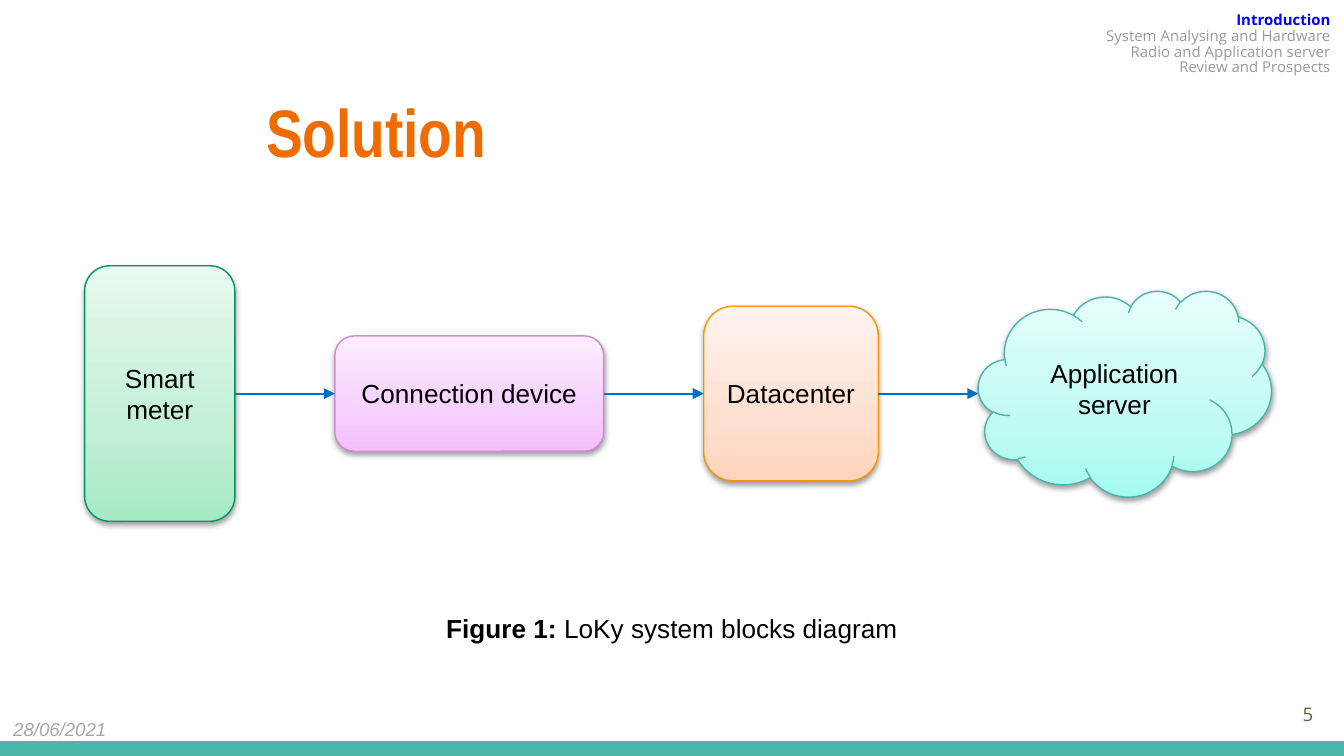
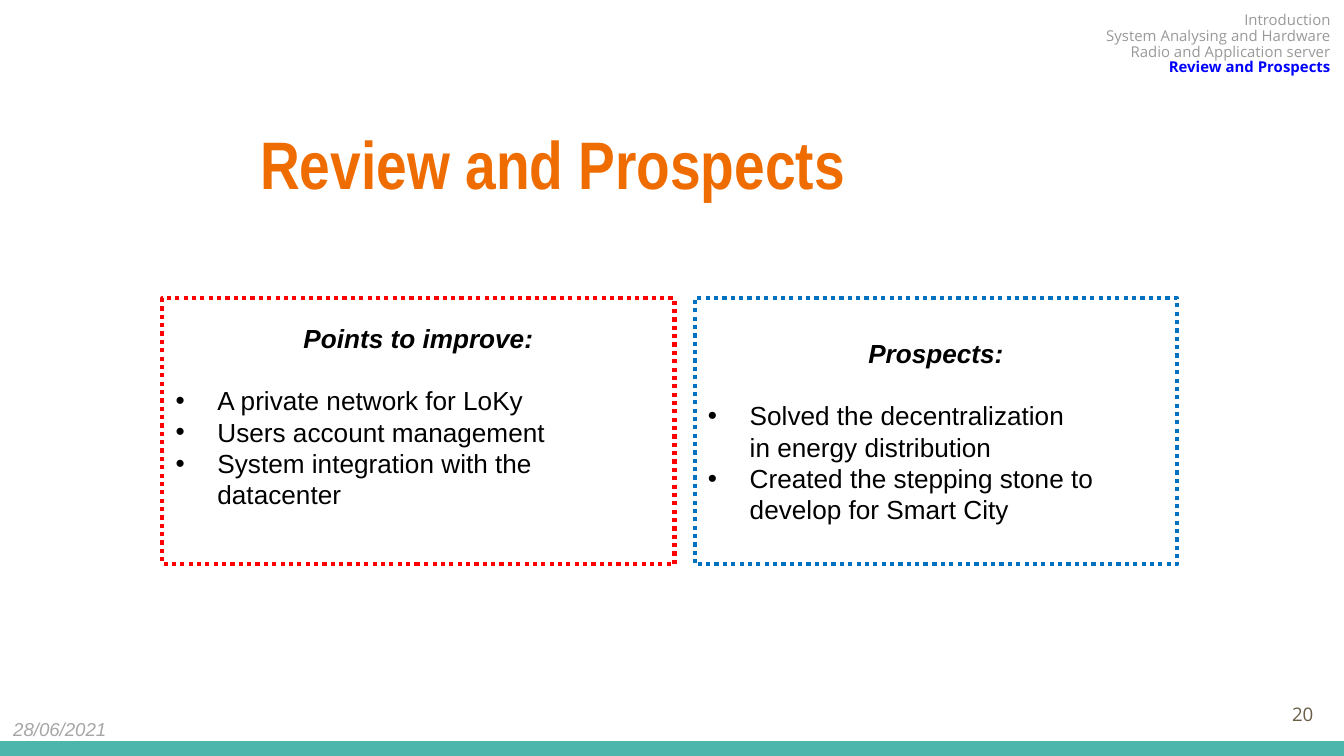
from copy import deepcopy

from pptx import Presentation
from pptx.dml.color import RGBColor
from pptx.enum.dml import MSO_LINE
from pptx.enum.shapes import MSO_CONNECTOR, MSO_SHAPE
from pptx.enum.text import MSO_ANCHOR, PP_ALIGN
from pptx.oxml import parse_xml
from pptx.oxml.ns import nsdecls, qn
from pptx.util import Cm, Pt

LEFT, CENTER, RIGHT = PP_ALIGN.LEFT, PP_ALIGN.CENTER, PP_ALIGN.RIGHT
TOP, MIDDLE = MSO_ANCHOR.TOP, MSO_ANCHOR.MIDDLE
RECT, ROUNDED, CLOUD = MSO_SHAPE.RECTANGLE, MSO_SHAPE.ROUNDED_RECTANGLE, MSO_SHAPE.CLOUD
STRAIGHT = MSO_CONNECTOR.STRAIGHT
DOTTED = MSO_LINE.ROUND_DOT

BLACK = RGBColor(0x00, 0x00, 0x00)
TEAL = RGBColor(0x4D, 0xB6, 0xAC)
ORANGE = RGBColor(0xEF, 0x6C, 0x00)
BROWN = RGBColor(0x69, 0x5D, 0x46)
DATE_GREY = RGBColor(0xA6, 0xA6, 0xA6)
AGENDA_GREY = RGBColor(0x99, 0x99, 0x99)
AGENDA_BLUE = RGBColor(0x00, 0x00, 0xFF)
RED = RGBColor(0xFF, 0x00, 0x00)
BLUE = RGBColor(0x00, 0x70, 0xC0)
GREEN_LINE = RGBColor(0x00, 0x93, 0x66)
GREENS = (RGBColor(0xA6, 0xEA, 0xC4), RGBColor(0xC2, 0xEF, 0xD5), RGBColor(0xE7, 0xFA, 0xEF))
PURPLE_LINE = RGBColor(0xCB, 0x8E, 0xD5)
PURPLES = (RGBColor(0xF5, 0xC0, 0xFF), RGBColor(0xF7, 0xD1, 0xFF), RGBColor(0xFC, 0xED, 0xFF))
AMBER_LINE = RGBColor(0xF9, 0x95, 0x00)
PEACHES = (RGBColor(0xFF, 0xD4, 0xBD), RGBColor(0xFF, 0xE0, 0xD1), RGBColor(0xFF, 0xF3, 0xEE))
AQUA_LINE = RGBColor(0x49, 0xB5, 0xAA)
AQUAS = (RGBColor(0xA5, 0xFB, 0xF0), RGBColor(0xC0, 0xFB, 0xF3), RGBColor(0xE6, 0xFF, 0xFB))
GRADIENT_POSITIONS = (0, 0.35, 1)

BODY_FONT, TITLE_FONT, AGENDA_FONT = "Arial", "Arial Narrow", "Open Sans"

SLIDE_WIDTH, SLIDE_HEIGHT = 25.4, 14.29
BAND_HEIGHT = 0.28
WIDE_INSET = 0.25

DATE = "28/06/2021"
AGENDA = [
    "Introduction",
    "System Analysing and Hardware",
    "Radio and Application server",
    "Review and Prospects",
]

SOLUTION = {"title": "Solution", "title_at": (4.78, 1.45, 12.8, 1.96),
            "section": "Introduction", "number": "5"}
BLOCKS = [
    ("Smart meter", ROUNDED, 2.84, 4.83, GREENS, GREEN_LINE),
    ("Connection device", ROUNDED, 5.08, 2.18, PURPLES, PURPLE_LINE),
    ("Datacenter", ROUNDED, 3.3, 3.3, PEACHES, AMBER_LINE),
    ("Application server", CLOUD, 5.54, 3.89, AQUAS, AQUA_LINE),
]
BLOCKS_LEFT, BLOCKS_MIDDLE, BLOCK_GAP = 1.6, 7.44, 1.89
CAPTION = ("Figure 1: ", "LoKy system blocks diagram")

REVIEW = {"title": "Review and Prospects", "title_at": (4.67, 2.06, 18.9, 1.96),
          "section": "Review and Prospects", "number": "20"}
PANELS = [
    ("Points to improve:", RED, 9.68, 0.7, [
        "A private network for LoKy",
        "Users account management",
        "System integration with the datacenter",
    ]),
    ("Prospects:", BLUE, 9.12, 0.13, [
        "Solved the decentralization\nin energy distribution",
        "Created the stepping stone to develop for Smart City",
    ]),
]
PANELS_LEFT, PANELS_TOP, PANEL_HEIGHT, PANEL_GAP = 3.07, 5.64, 5.03, 0.38
BULLET_INDENT = 0.79


def add_run(paragraph, text, size, color=BLACK, font=BODY_FONT, bold=False, italic=False):
    run = paragraph.add_run()
    run.text = text
    run.font.name = font
    run.font.size = Pt(size)
    run.font.color.rgb = color
    run.font.bold = bold
    run.font.italic = italic


def add_text(slide, at, anchor=TOP, align=LEFT, inset=None):
    frame = slide.shapes.add_textbox(*map(Cm, at)).text_frame
    frame.word_wrap = True
    frame.vertical_anchor = anchor
    if inset:
        frame.margin_left = frame.margin_right = Cm(inset)
        frame.margin_top = frame.margin_bottom = Cm(inset)
    frame.paragraphs[0].alignment = align
    return frame


def add_outlined(slide, kind, at, line_color, line_width):
    shape = slide.shapes.add_shape(kind, *map(Cm, at))
    shape.shadow.inherit = False
    shape.line.color.rgb = line_color
    shape.line.width = Pt(line_width)
    shape.text_frame.word_wrap = True
    shape.text_frame.vertical_anchor = MIDDLE
    shape.text_frame.paragraphs[0].alignment = CENTER
    return shape


def add_slide(deck, content):
    slide = deck.slides.add_slide(deck.slide_layouts[6])
    band = slide.shapes.add_shape(RECT, 0, Cm(SLIDE_HEIGHT - BAND_HEIGHT),
                                  Cm(SLIDE_WIDTH), Cm(BAND_HEIGHT))
    band.shadow.inherit = False
    band.fill.solid()
    band.fill.fore_color.rgb = TEAL
    band.line.fill.background()

    number = add_text(slide, (23.55, 12.95, 1.52, 1.09), MIDDLE, RIGHT, WIDE_INSET)
    add_run(number.paragraphs[0], content["number"], 10, BROWN, AGENDA_FONT)
    date = add_text(slide, (0, 13.44, 2.6, 0.68))
    add_run(date.paragraphs[0], DATE, 10, DATE_GREY, italic=True)
    title = add_text(slide, content["title_at"], inset=WIDE_INSET)
    add_run(title.paragraphs[0], content["title"], 36, ORANGE, TITLE_FONT, bold=True)

    agenda = add_text(slide, (18.03, 0, 7.37, 1.96), inset=WIDE_INSET)
    for index, section in enumerate(AGENDA):
        paragraph = agenda.add_paragraph() if index else agenda.paragraphs[0]
        paragraph.alignment = RIGHT
        paragraph.line_spacing = 0.88
        current = section == content["section"]
        add_run(paragraph, section, 8, AGENDA_BLUE if current else AGENDA_GREY,
                AGENDA_FONT, bold=current)
    return slide


def fill_gradient(shape, colors):
    shape.fill.gradient()
    shape.fill.gradient_angle = 90
    stop_list = shape._element.spPr.find(qn("a:gradFill")).find(qn("a:gsLst"))
    stop_list.insert(1, deepcopy(stop_list[0]))
    for stop, color, position in zip(shape.fill.gradient_stops, colors, GRADIENT_POSITIONS):
        stop.color.rgb = color
        stop.position = position


def cast_shadow(shape):
    shape._element.spPr.find(qn("a:effectLst")).append(parse_xml(
        f'<a:outerShdw {nsdecls("a")} blurRad="40000" dist="20000" dir="5400000" '
        'rotWithShape="0"><a:srgbClr val="000000"><a:alpha val="38000"/>'
        '</a:srgbClr></a:outerShdw>'))


def add_arrow(slide, start, end, y):
    arrow = slide.shapes.add_connector(STRAIGHT, Cm(start), Cm(y), Cm(end), Cm(y))
    arrow.line.color.rgb = BLUE
    arrow.line.width = Pt(1)
    arrow.line._get_or_add_ln().append(
        parse_xml(f'<a:tailEnd {nsdecls("a")} type="triangle"/>'))
    arrow._element.spPr.append(parse_xml(f'<a:effectLst {nsdecls("a")}/>'))


def make_bullet(paragraph):
    properties = paragraph._p.get_or_add_pPr()
    properties.set("marL", str(Cm(BULLET_INDENT)))
    properties.set("indent", str(-Cm(BULLET_INDENT)))
    for xml in (f'<a:buClr {nsdecls("a")}><a:srgbClr val="{BLACK}"/></a:buClr>',
                f'<a:buFont {nsdecls("a")} typeface="{BODY_FONT}"/>',
                f'<a:buChar {nsdecls("a")} char="•"/>'):
        properties.append(parse_xml(xml))


def build_solution(deck):
    slide = add_slide(deck, SOLUTION)
    left = BLOCKS_LEFT
    for index, (label, kind, width, height, colors, outline) in enumerate(BLOCKS):
        at = (left, BLOCKS_MIDDLE - height / 2, width, height)
        block = add_outlined(slide, kind, at, outline, 0.75)
        fill_gradient(block, colors)
        cast_shadow(block)
        add_run(block.text_frame.paragraphs[0], label, 14)
        if index:
            add_arrow(slide, left - BLOCK_GAP, left, BLOCKS_MIDDLE)
        left += width + BLOCK_GAP
    caption = add_text(slide, (0, 11.46, SLIDE_WIDTH, 0.86), align=CENTER).paragraphs[0]
    figure, description = CAPTION
    add_run(caption, figure, 14, bold=True)
    add_run(caption, description, 14)


def build_review(deck):
    slide = add_slide(deck, REVIEW)
    left = PANELS_LEFT
    for heading, color, width, bottom_inset, points in PANELS:
        panel = add_outlined(slide, RECT, (left, PANELS_TOP, width, PANEL_HEIGHT), color, 2.25)
        panel.fill.background()
        panel.line.dash_style = DOTTED
        frame = panel.text_frame
        frame.margin_bottom = Cm(bottom_inset)
        add_run(frame.paragraphs[0], heading, 14, bold=True, italic=True)
        frame.paragraphs[0].space_after = Pt(16.5)
        for point in points:
            paragraph = frame.add_paragraph()
            paragraph.alignment = LEFT
            make_bullet(paragraph)
            for index, line in enumerate(point.split("\n")):
                if index:
                    paragraph.add_line_break()
                add_run(paragraph, line, 14)
        left += width + PANEL_GAP


def main():
    deck = Presentation()
    deck.slide_width, deck.slide_height = Cm(SLIDE_WIDTH), Cm(SLIDE_HEIGHT)
    build_solution(deck)
    build_review(deck)
    deck.save("out.pptx")


if __name__ == "__main__":
    main()
